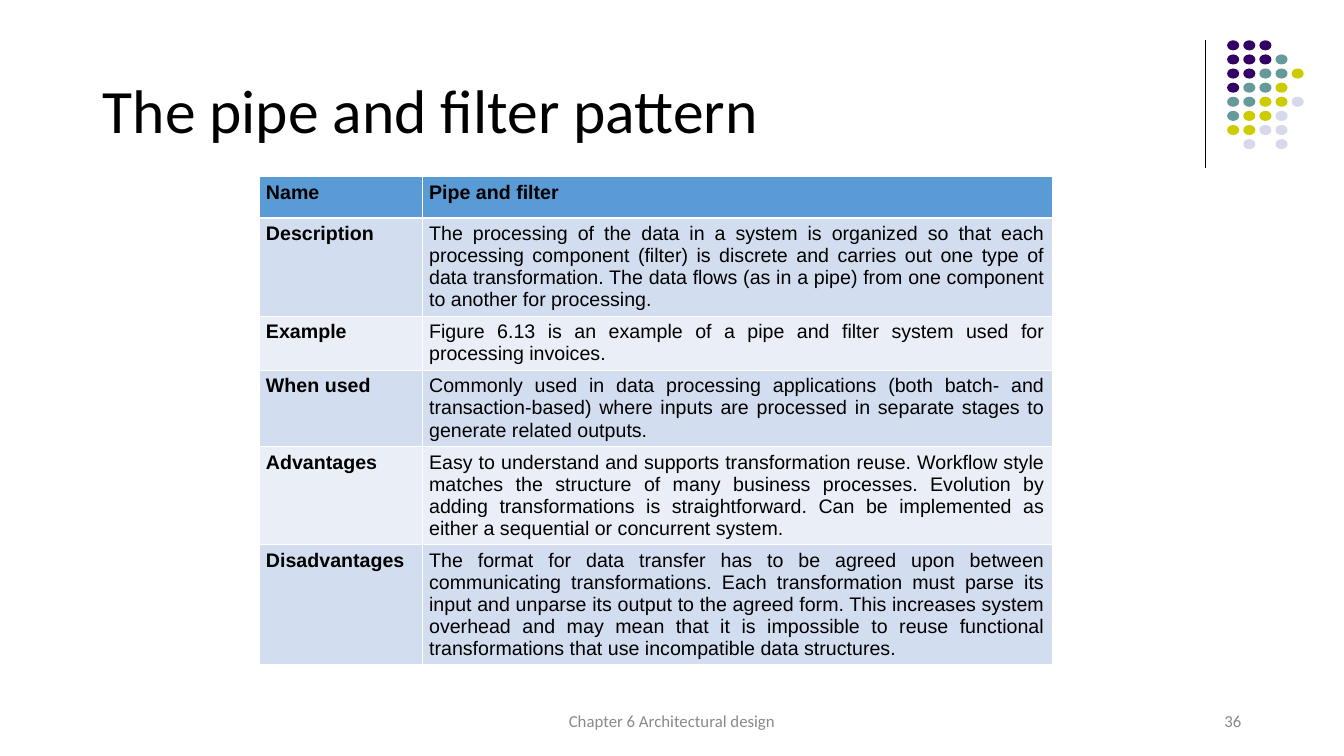
"""Build the slide that describes the pipe and filter pattern."""
from lxml.etree import SubElement
from pptx import Presentation
from pptx.dml.color import RGBColor
from pptx.enum.shapes import MSO_CONNECTOR as Connector, MSO_SHAPE as Shape
from pptx.enum.text import MSO_ANCHOR as Anchor, PP_ALIGN as Align
from pptx.oxml import parse_xml
from pptx.oxml.ns import nsdecls, qn
from pptx.util import Inches, Pt

TITLE = "The pipe and filter pattern"
PATTERN = [
    ("Name", "Pipe and filter", 0.41),
    ("Description", "The processing of the data in a system is organized so that each "
     "processing component (filter) is discrete and carries out one type of data "
     "transformation. The data flows (as in a pipe) from one component to another "
     "for processing.", 0.93),
    ("Example", "Figure 6.13 is an example of a pipe and filter system used for "
     "processing invoices.", 0.47),
    ("When used", "Commonly used in data processing applications (both batch- and "
     "transaction-based) where inputs are processed in separate stages to generate "
     "related outputs.", 0.7),
    ("Advantages", "Easy to understand and supports transformation reuse. Workflow style "
     "matches the structure of many business processes. Evolution by adding "
     "transformations is straightforward. Can be implemented as either a sequential "
     "or concurrent system.", 0.93),
    ("Disadvantages", "The format for data transfer has to be agreed upon between "
     "communicating transformations. Each transformation must parse its input and "
     "unparse its output to the agreed form. This increases system overhead and may "
     "mean that it is impossible to reuse functional transformations that use "
     "incompatible data structures.", 1.17),
]
COLUMN_WIDTHS = (1.62, 6.25)
FOOTERS = [
    ("36", 9.42, 3, Align.RIGHT),
    ("Chapter 6 Architectural design", 4.42, 4.5, Align.CENTER),
]
DOT_ROWS = ["PPP", "PPPT", "PPTTY", "PTTY", "TTYYL", "TYYL", "YYLL", " L L"]
DOT_COLORS = {"P": "purple", "T": "teal", "Y": "yellow", "L": "lavender"}
COLORS = {
    "text": "000000", "footer": "898989", "border": "FFFFFF",
    "header": "5B9BD5", "odd": "D2DEEF", "even": "EAEFF7",
    "purple": "330066", "teal": "669999", "yellow": "CCCC00", "lavender": "D8D8EC",
}


def color(name):
    """Return the named colour."""
    return RGBColor.from_string(COLORS[name])


def set_font(paragraph, family, size, color_name, bold=False):
    """Format all the text of a paragraph."""
    font = paragraph.font
    font.name, font.size, font.bold = family, Pt(size), bold
    font.color.rgb = color(color_name)


def add_borders(cell, widths):
    """Draw the cell's left, right, top and bottom borders."""
    properties = cell._tc.get_or_add_tcPr()
    for place, (side, width) in enumerate(zip("LRTB", widths)):
        properties.insert(place, parse_xml(
            f'<a:ln{side} {nsdecls("a")} w="{Pt(width)}"><a:solidFill>'
            f'<a:srgbClr val="{COLORS["border"]}"/></a:solidFill></a:ln{side}>'))


def add_decoration(slide):
    """Draw the vertical rule and the grid of dots."""
    rule = slide.shapes.add_connector(
        Connector.STRAIGHT, Inches(11.97), Inches(0.4), Inches(11.97), Inches(1.67))
    rule.line.color.rgb = color("text")
    rule.line.width = Pt(0.75)
    SubElement(rule._element.spPr, qn("a:effectLst"))
    for row, keys in enumerate(DOT_ROWS):
        for column, key in enumerate(keys):
            if key == " ":
                continue
            dot = slide.shapes.add_shape(
                Shape.OVAL, Inches(12.18 + 0.16 * column), Inches(0.4 + 0.14 * row),
                Inches(0.12), Inches(0.1))
            dot.shadow.inherit = False
            dot.fill.solid()
            dot.fill.fore_color.rgb = color(DOT_COLORS[key])
            dot.line.fill.background()


def add_title(slide):
    """Place and format the title."""
    title = slide.shapes.title
    title.left, title.top = Inches(0.92), Inches(0.4)
    title.width, title.height = Inches(11), Inches(1.45)
    title.text_frame.text = TITLE
    title.text_frame.vertical_anchor = Anchor.MIDDLE
    heading = title.text_frame.paragraphs[0]
    heading.alignment, heading.line_spacing = Align.LEFT, 0.9
    set_font(heading, "Calibri", 44, "text")


def add_pattern_table(slide):
    """Add the table of the pattern's properties."""
    table = slide.shapes.add_table(
        len(PATTERN), len(COLUMN_WIDTHS), Inches(2.57), Inches(1.75),
        Inches(sum(COLUMN_WIDTHS)), Inches(sum(row[2] for row in PATTERN))).table
    for column, width in zip(table.columns, COLUMN_WIDTHS):
        column.width = Inches(width)
    for row, (label, detail, height) in enumerate(PATTERN):
        table.rows[row].height = Inches(height)
        band = "header" if row == 0 else "odd" if row % 2 else "even"
        top, bottom = 1.47 if row == 1 else 0.45, 1.47 if row == 0 else 0.45
        for column, text in enumerate((label, detail)):
            cell = table.cell(row, column)
            cell.text = text
            cell.margin_left = cell.margin_right = Inches(0.07)
            cell.margin_top = cell.margin_bottom = Inches(0.05)
            cell.fill.solid()
            cell.fill.fore_color.rgb = color(band)
            add_borders(cell, (0.45, 0.45, top, bottom))
            entry = cell.text_frame.paragraphs[0]
            entry.alignment = Align.JUSTIFY
            set_font(entry, "Arial", 14, "text", bold=row == 0 or column == 0)


def add_footers(slide):
    """Add the page number and the chapter name."""
    for text, left, width, alignment in FOOTERS:
        frame = slide.shapes.add_textbox(
            Inches(left), Inches(6.95), Inches(width), Inches(0.4)).text_frame
        frame.word_wrap = True
        frame.vertical_anchor = Anchor.MIDDLE
        frame.text = text
        frame.paragraphs[0].alignment = alignment
        set_font(frame.paragraphs[0], "Calibri", 12, "footer")


def main():
    """Build and save the presentation."""
    presentation = Presentation()
    presentation.slide_width, presentation.slide_height = Inches(13.34), Inches(7.5)
    slide = presentation.slides.add_slide(presentation.slide_layouts[5])
    add_decoration(slide)
    add_title(slide)
    add_pattern_table(slide)
    add_footers(slide)
    presentation.save("out.pptx")


if __name__ == "__main__":
    main()
